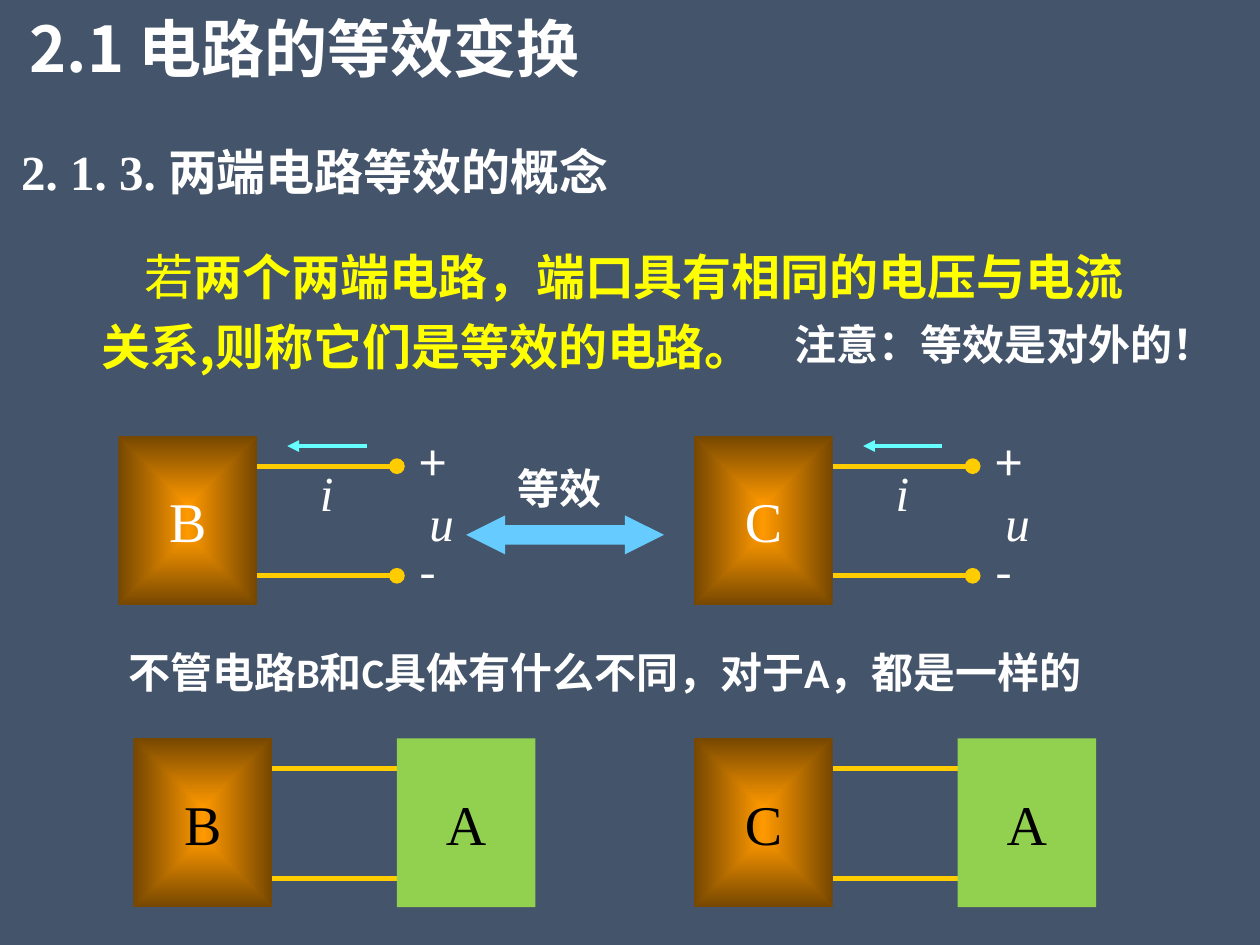
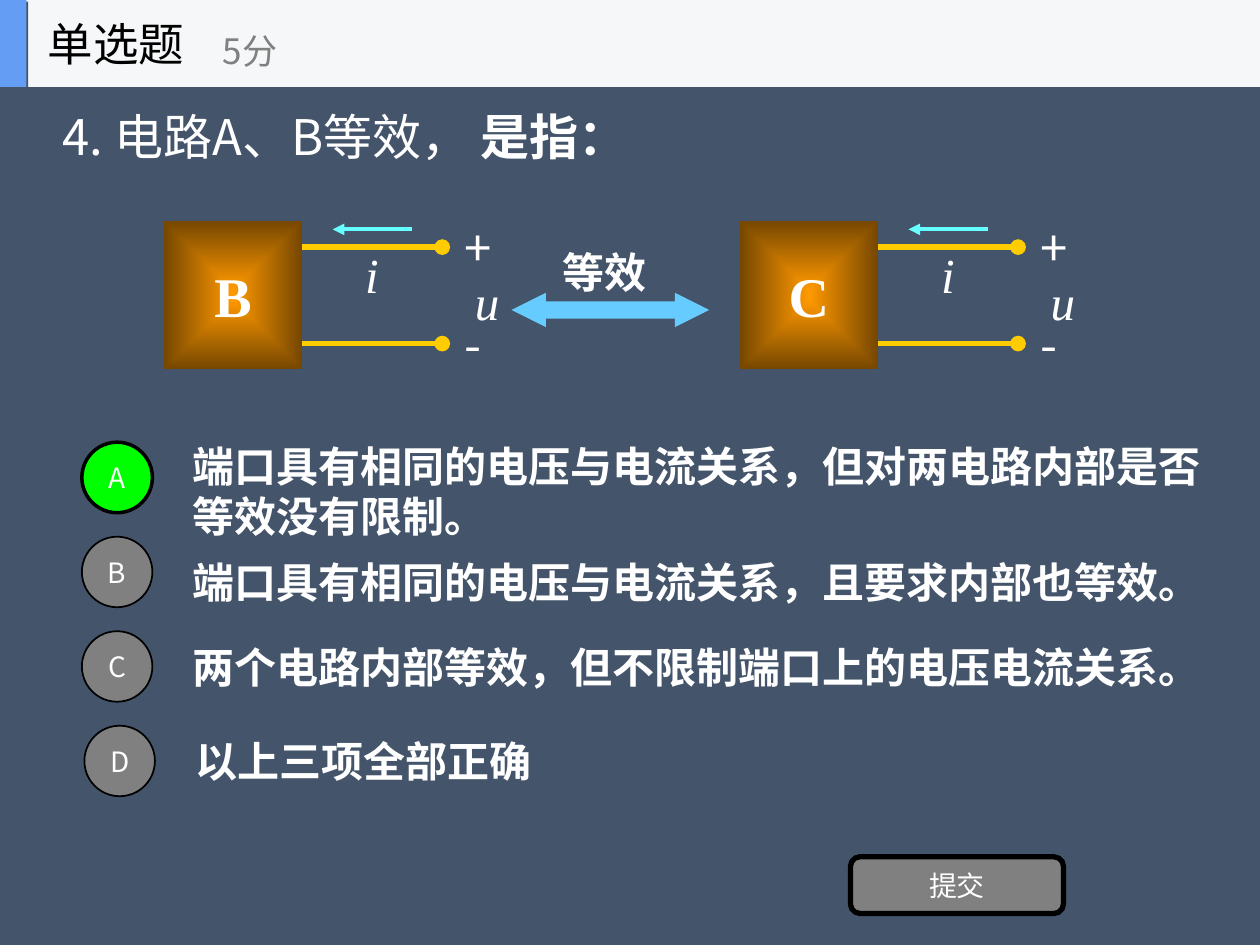
from dataclasses import dataclass

from lxml.etree import SubElement
from pptx import Presentation
from pptx.dml.color import RGBColor
from pptx.enum.shapes import MSO_CONNECTOR, MSO_SHAPE
from pptx.enum.text import MSO_ANCHOR, PP_ALIGN
from pptx.oxml.ns import qn
from pptx.util import Inches, Pt


@dataclass(frozen=True)
class Theme:
    back: str = "44546A"
    white: str = "FFFFFF"
    black: str = "000000"
    grey: str = "808080"
    yellow: str = "FFFF00"
    wire: str = "FFCC00"
    flow: str = "66FFFF"
    bridge: str = "66CCFF"
    core: str = "FF9900"
    edge: str = "764700"
    load: str = "92D050"
    right: str = "00FF00"
    band: str = "F6F7F8"
    accent: str = "639EF4"
    sans: str = "Noto Sans CJK SC"
    serif: str = "Times New Roman"
    plain: str = "Calibri"
    label: str = "Arial"
    title: int = 36
    letter: int = 32
    head: int = 28
    kind: int = 26
    body: int = 24
    score: int = 20
    small: int = 16


T = Theme()
BOX = 1.1
TALL = 1.34
PORTS = (0.24, 1.11)


def color(code):
    return RGBColor.from_string(code)


def add_run(para, text, size, font=T.sans, ink=T.white, bold=False, slant=False):
    run = para.add_run()
    run.text = text
    face = run.font
    face.size, face.name, face.bold, face.italic = Pt(size), font, bold, slant
    face.color.rgb = color(ink)
    SubElement(run._r.get_or_add_rPr(), qn("a:ea")).set("typeface", T.sans)


def add_text(slide, place, *runs, align=PP_ALIGN.LEFT, anchor=MSO_ANCHOR.TOP):
    frame = slide.shapes.add_textbox(*map(Inches, place)).text_frame
    frame.word_wrap = True
    frame.vertical_anchor = anchor
    para = frame.paragraphs[0]
    para.alignment = align
    for text, style in runs:
        add_run(para, text, **style)
    return para


def add_block(slide, kind, place, fill, edge=None, width=1):
    shape = slide.shapes.add_shape(kind, *map(Inches, place))
    shape.shadow.inherit = False
    shape.fill.solid()
    shape.fill.fore_color.rgb = color(fill)
    if edge:
        shape.line.color.rgb = color(edge)
        shape.line.width = Pt(width)
    else:
        shape.line.fill.background()
    return shape


def add_mark(shape, text, **style):
    frame = shape.text_frame
    frame.margin_left = frame.margin_right = 0
    frame.vertical_anchor = MSO_ANCHOR.MIDDLE
    para = frame.paragraphs[0]
    para.alignment = PP_ALIGN.CENTER
    add_run(para, text, **style)


def add_shade(shape):
    effect = shape._element.spPr.find(qn("a:effectLst"))
    shade = SubElement(effect, qn("a:outerShdw"), dist=str(Pt(1.4)), dir="2700000")
    SubElement(shade, qn("a:srgbClr"), val=T.back)


def set_glow(shape):
    shape.fill.gradient()
    grad = shape._element.spPr.find(qn("a:gradFill"))
    for child in list(grad):
        grad.remove(child)
    stops = SubElement(grad, qn("a:gsLst"))
    for spot, code in (("0", T.core), ("100000", T.edge)):
        stop = SubElement(stops, qn("a:gs"), pos=spot)
        SubElement(stop, qn("a:srgbClr"), val=code)
    shade = SubElement(grad, qn("a:path"), {"path": "shape"})
    SubElement(shade, qn("a:fillToRect"), dict.fromkeys("ltrb", "50000"))


def add_wire(slide, start, end, top, ink=T.wire, width=3, tip="oval"):
    wire = slide.shapes.add_connector(
        MSO_CONNECTOR.STRAIGHT, *map(Inches, (start, top, end, top)))
    wire.line.color.rgb = color(ink)
    wire.line.width = Pt(width)
    props = wire._element.spPr
    SubElement(props.find(qn("a:ln")), qn("a:tailEnd"), type=tip)
    SubElement(props, qn("a:effectLst"))


def add_box(slide, name, left, top, scale=1, ink=T.white, bold=False, fill=None):
    box = add_block(slide, MSO_SHAPE.RECTANGLE, (left, top, BOX, TALL * scale), fill or T.core)
    if not fill:
        set_glow(box)
    add_mark(box, name, size=T.letter, font=T.serif, ink=ink, bold=bold)


def add_port(slide, name, left, top, scale=1, **style):
    add_box(slide, name, left, top, scale, **style)
    for port in PORTS:
        add_wire(slide, left + BOX, left + 2.21, top + port * scale)


def add_signs(slide, left, top, scale):
    add_wire(slide, left + 1.97, left + 1.34, top + 0.08 * scale, T.flow, 2.25, "triangle")
    signs = (("+", 2.29, -0.08, False), ("-", 2.29, 0.79, False),
             ("u", 2.37, 0.4, True), ("i", 1.5, 0.16, True))
    for sign, over, down, slant in signs:
        font = T.serif if slant else T.sans
        add_text(slide, (left + over, top + down * scale, 0.39, 0.57 * scale),
                 (sign, dict(size=T.head, font=font, slant=slant)))


def add_pair(slide, left, top, mid, scale=1, bold=False):
    for name, start in (("B", left), ("C", left + 4.57)):
        add_port(slide, name, start, top, scale, bold=bold)
        add_signs(slide, start, top, scale)
    arrow = add_block(slide, MSO_SHAPE.LEFT_RIGHT_ARROW,
                      (left + 2.76, mid + 0.47 * scale, 1.57, 0.31 * scale), T.bridge)
    arrow.adjustments[0], arrow.adjustments[1] = 0.5, 1
    add_text(slide, (left + 3.07, mid, 1.26, 0.5 * scale),
             ("等效", dict(size=T.body, font=T.label, bold=True)))


def add_choice(slide, name, text, left, top, spot, tall, right=False):
    fill, width = (T.right, 2) if right else (T.grey, 1)
    disc = add_block(slide, MSO_SHAPE.OVAL, (left, spot, 0.56, 0.56), fill, T.black, width)
    add_shade(disc)
    add_mark(disc, name, size=T.small)
    add_text(slide, (left + 0.78, top, 8.22, tall),
             (text, dict(size=T.body, bold=True)), anchor=MSO_ANCHOR.MIDDLE)


def add_band(slide):
    for width, fill in ((10, T.band), (0.21, T.accent)):
        add_shade(add_block(slide, MSO_SHAPE.RECTANGLE, (0, 0, width, 0.69), fill))
    add_text(slide, (0.28, 0, 2.08, 0.69), ("单选题", dict(size=T.kind, ink=T.black)),
             anchor=MSO_ANCHOR.MIDDLE)
    add_text(slide, (1.67, 0.12, 2.5, 0.56), ("5分", dict(size=T.score, ink=T.grey)),
             anchor=MSO_ANCHOR.MIDDLE)


def new_slide(deck):
    slide = deck.slides.add_slide(deck.slide_layouts[6])
    slide.background.fill.solid()
    slide.background.fill.fore_color.rgb = color(T.back)
    return slide


def build_lesson(deck):
    slide = new_slide(deck)
    add_text(slide, (0, 0.02, 4.84, 0.71),
             ("2.1 电路的等效变换", dict(size=T.title, bold=True)),
             align=PP_ALIGN.CENTER, anchor=MSO_ANCHOR.MIDDLE)
    add_text(slide, (0.07, 1.07, 5.08, 0.57),
             ("2. 1. 3. 两端电路等效的概念", dict(size=T.head, font=T.serif, bold=True)),
             anchor=MSO_ANCHOR.MIDDLE)
    para = add_text(
        slide, (0.71, 1.81, 8.58, 1.22),
        ("若", dict(size=T.head, ink=T.yellow)),
        ("两个两端电路，端口具有相同的电压与电流关系,则称它们是等效的电路。",
         dict(size=T.head, ink=T.yellow, bold=True)))
    para.line_spacing = 1.2
    para._p.get_or_add_pPr().set("indent", str(Inches(0.34)))
    note = dict(size=T.body, font=T.plain, bold=True)
    add_text(slide, (6.21, 2.48, 3.57, 0.5), ("注意：等效是对外的！", note))
    add_pair(slide, 0.94, 3.46, 3.62)
    for name, left in (("B", 1.06), ("C", 5.51)):
        add_port(slide, name, left, 5.86, ink=T.black)
        add_box(slide, "A", left + 2.09, 5.86, ink=T.black, fill=T.load)
    add_text(slide, (0.92, 5.08, 7.84, 0.5),
             ("不管电路B和C具体有什么不同，对于A，都是一样的", note))


def build_quiz(deck):
    slide = new_slide(deck)
    add_band(slide)
    add_text(slide, (0.4, 0.6, 5.75, 0.95),
             ("4. 电路A、B等效， ", dict(size=T.head)),
             ("是指：", dict(size=T.head, font=T.serif, bold=True)),
             anchor=MSO_ANCHOR.MIDDLE)
    add_pair(slide, 1.3, 1.75, 1.91, 0.88, bold=True)
    choices = (
        ("A", "端口具有相同的电压与电流关系，但对两电路内部是否等效没有限制。", 0.65, 3.44, 0.91),
        ("B", "端口具有相同的电压与电流关系，且要求内部也等效。", 0.65, 4.19, 0.86),
        ("C", "两个电路内部等效，但不限制端口上的电压电流关系。", 0.65, 4.94, 0.7),
        ("D", "以上三项全部正确", 0.67, 5.69, 0.7),
    )
    for row, (name, text, left, top, tall) in enumerate(choices):
        add_choice(slide, name, text, left, top, 3.51 + 0.75 * row, tall, name == "A")
    button = add_block(slide, MSO_SHAPE.ROUNDED_RECTANGLE,
                       (6.75, 6.8, 1.69, 0.45), T.grey, T.black, 3)
    add_shade(button)
    add_mark(button, "提交", size=T.small)


def main():
    deck = Presentation()
    deck.slide_width, deck.slide_height = Inches(10), Inches(7.5)
    build_lesson(deck)
    build_quiz(deck)
    deck.save("out.pptx")


if __name__ == "__main__":
    main()
